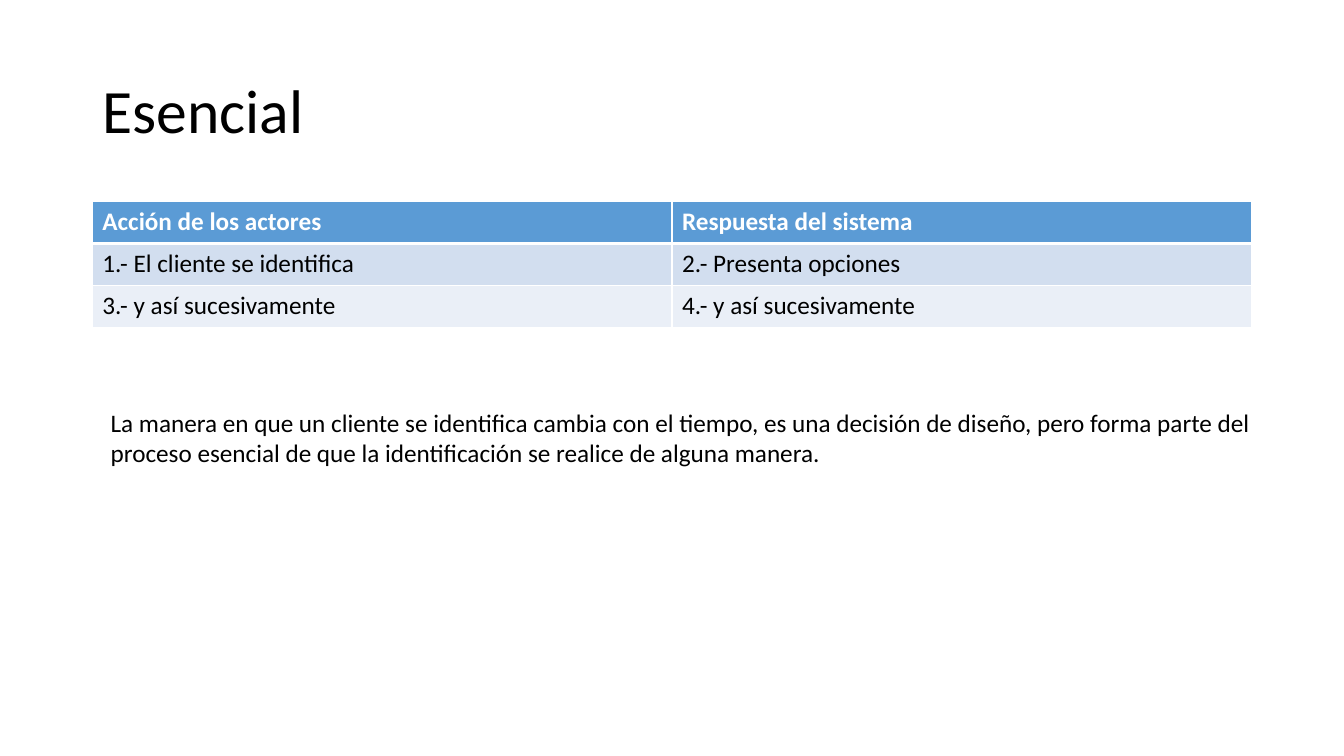
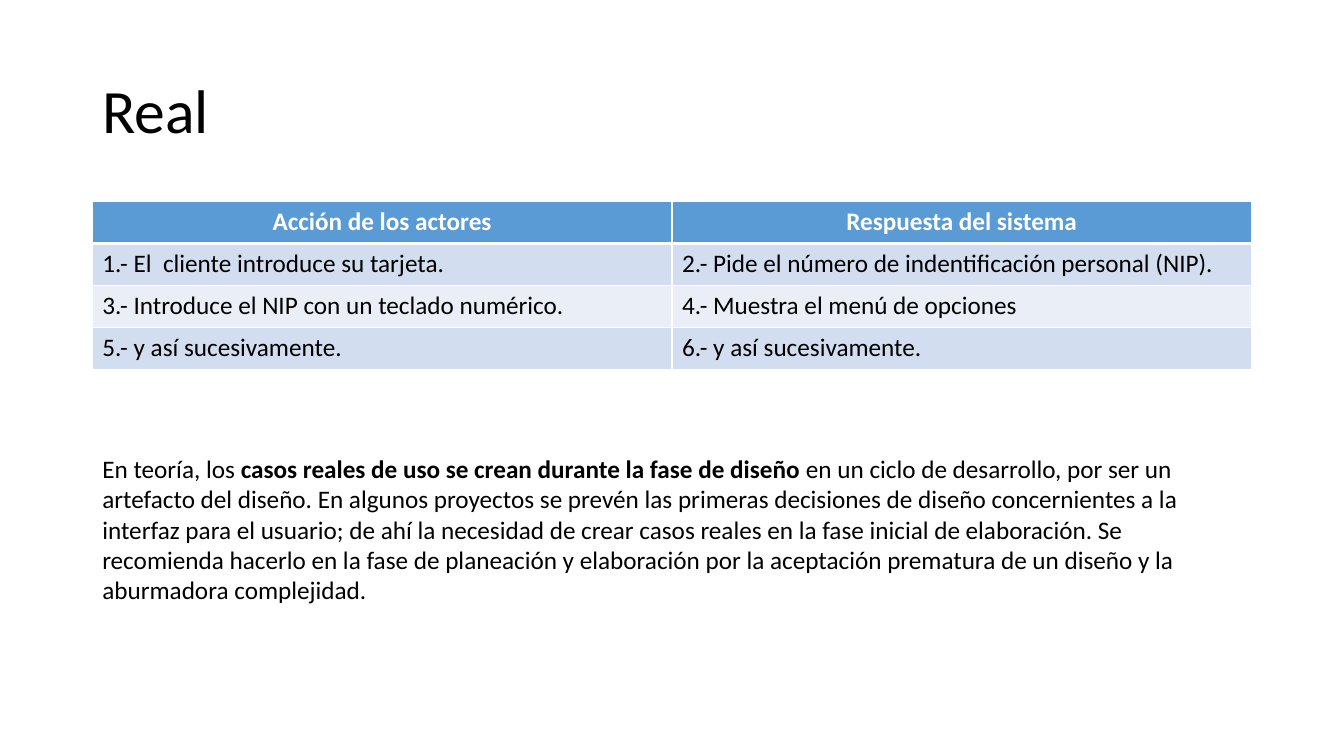
from lxml.etree import SubElement
from pptx import Presentation
from pptx.dml.color import RGBColor
from pptx.enum.text import MSO_ANCHOR, PP_ALIGN
from pptx.oxml.ns import qn
from pptx.util import Pt

# Content: each note is a list of (text, bold) pieces, each box is left, top, width, height
HEADER = ("Acción de los actores", "Respuesta del sistema")
SLIDES = [
    {
        "title": "Esencial",
        "header_align": PP_ALIGN.LEFT,
        "steps": [
            ("1.- El cliente se identifica", "2.- Presenta opciones"),
            ("3.- y así sucesivamente", "4.- y así sucesivamente"),
        ],
        "note": [
            ("La manera en que un cliente se identifica cambia con el tiempo, es una "
             "decisión de diseño, pero forma parte del proceso esencial de que la "
             "identificación se realice de alguna manera.", False),
        ],
        "note_box": (72, 287.25, 842.4, 51),
    },
    {
        "title": "Real",
        "header_align": PP_ALIGN.CENTER,
        "steps": [
            ("1.- El  cliente introduce su tarjeta.",
             "2.- Pide el número de indentificación personal (NIP)."),
            ("3.- Introduce el NIP con un teclado numérico.",
             "4.- Muestra el menú de opciones"),
            ("5.- y así sucesivamente.", "6.- y así sucesivamente."),
        ],
        "note": [
            ("En teoría, los", False),
            (" casos reales de uso se crean durante la fase de diseño ", True),
            ("en un ciclo de desarrollo, por ser un artefacto del diseño. En algunos "
             "proyectos se prevén las primeras decisiones de diseño concernientes a la "
             "interfaz para el usuario; de ahí la necesidad de crear casos reales en la "
             "fase inicial de elaboración. Se recomienda hacerlo en la fase de planeación "
             "y elaboración por la aceptación prematura de un diseño y la aburmadora "
             "complejidad.", False),
        ],
        "note_box": (66, 320.4, 831.6, 116),
    },
]

# Shared style
FONT = "Calibri"
BLACK = RGBColor(0x00, 0x00, 0x00)
WHITE = RGBColor(0xFF, 0xFF, 0xFF)
HEADER_BLUE = RGBColor(0x5B, 0x9B, 0xD5)
BANDS = (RGBColor(0xD2, 0xDE, 0xEF), RGBColor(0xEA, 0xEF, 0xF7))
LEFT, WIDTH = 66, 828
TITLE_TOP, TITLE_HEIGHT = 28.75, 104.4
TABLE_TOP, ROW_HEIGHT = 144, 30


def write(para, text, size=18, color=BLACK, bold=False, align=PP_ALIGN.LEFT):
    """Add one formatted span of text to a paragraph."""
    para.alignment = align
    span = para.add_run()
    span.text = text
    span.font.name = FONT
    span.font.size = Pt(size)
    span.font.bold = bold
    span.font.color.rgb = color


def place(shape, left, top, width, height):
    shape.left, shape.top = Pt(left), Pt(top)
    shape.width, shape.height = Pt(width), Pt(height)


def draw_borders(cell, widths):
    """Draw white cell edges; widths maps an edge letter to points."""
    properties = cell._tc.get_or_add_tcPr()
    for edge, width in widths.items():
        line = SubElement(properties, qn(f"a:ln{edge}"), w=str(Pt(width)))
        fill = SubElement(line, qn("a:solidFill"))
        SubElement(fill, qn("a:srgbClr"), val=str(WHITE))


def add_steps(page, steps, header_align):
    rows = [HEADER, *steps]
    table = page.shapes.add_table(
        len(rows), len(HEADER), Pt(LEFT), Pt(TABLE_TOP),
        Pt(WIDTH), Pt(ROW_HEIGHT * len(rows))).table
    for row, texts in enumerate(rows):
        for column, text in enumerate(texts):
            cell = table.cell(row, column)
            para = cell.text_frame.paragraphs[0]
            if row == 0:
                write(para, text, color=WHITE, bold=True, align=header_align)
                draw_borders(cell, {"L": 1, "R": 1, "T": 1, "B": 3})
            else:
                write(para, text)
                draw_borders(cell, {"L": 1, "R": 1, "B": 1})
            cell.fill.solid()
            cell.fill.fore_color.rgb = BANDS[(row - 1) % 2] if row else HEADER_BLUE


# Deck and the title position that all slides inherit
deck = Presentation()
deck.slide_width, deck.slide_height = Pt(960), Pt(540)
layout = deck.slide_layouts.get_by_name("Title Only")
place(layout.placeholders[0], LEFT, TITLE_TOP, WIDTH, TITLE_HEIGHT)

for content in SLIDES:
    page = deck.slides.add_slide(layout)

    # Title
    title_frame = page.shapes.title.text_frame
    title_frame.vertical_anchor = MSO_ANCHOR.MIDDLE
    title_para = title_frame.paragraphs[0]
    title_para.line_spacing = 0.9
    write(title_para, content["title"], size=44)

    # Table of steps
    add_steps(page, content["steps"], content["header_align"])

    # Note below the table
    box = page.shapes.add_textbox(*map(Pt, content["note_box"]))
    box.text_frame.word_wrap = True
    for text, bold in content["note"]:
        write(box.text_frame.paragraphs[0], text, bold=bold)

deck.save("out.pptx")
